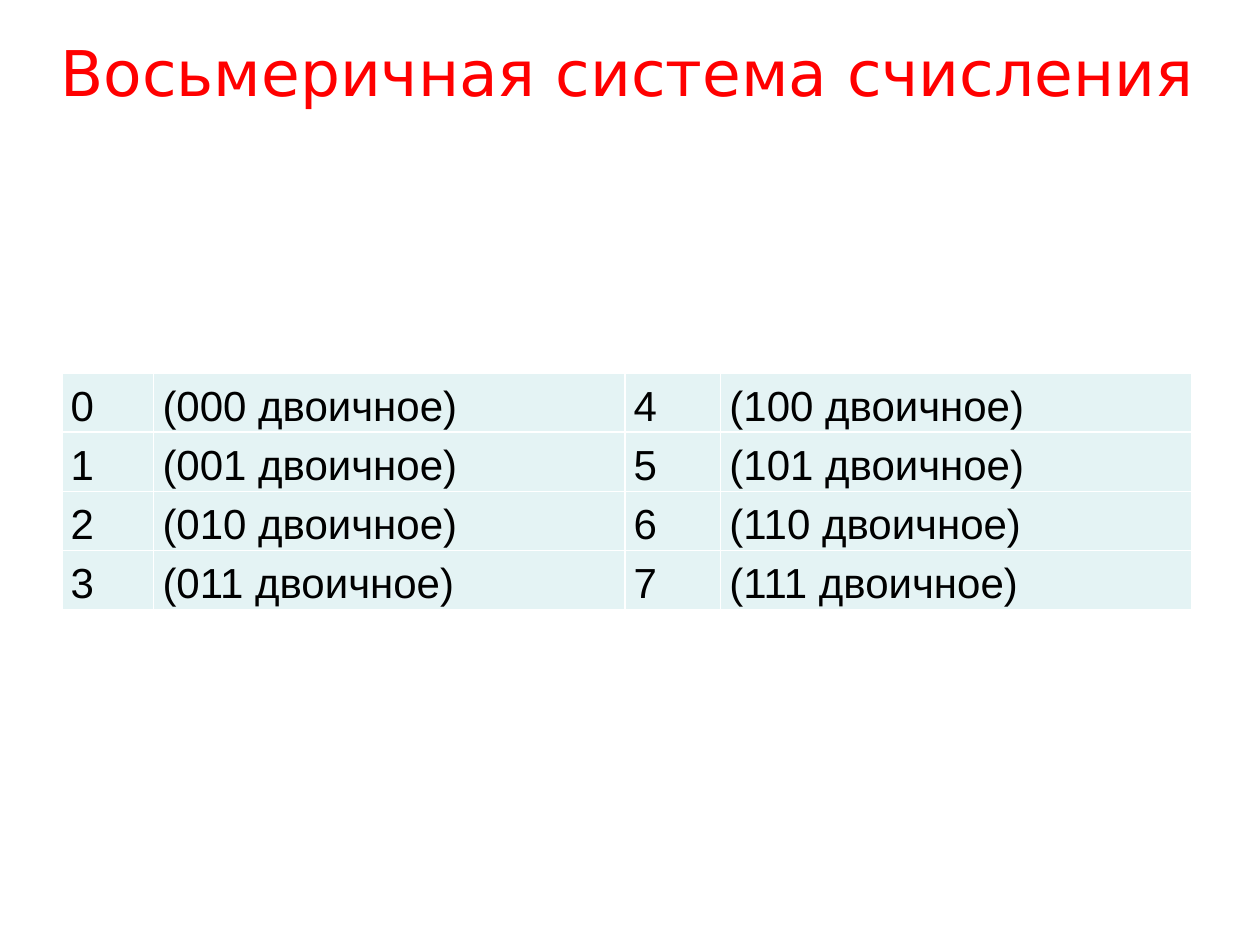
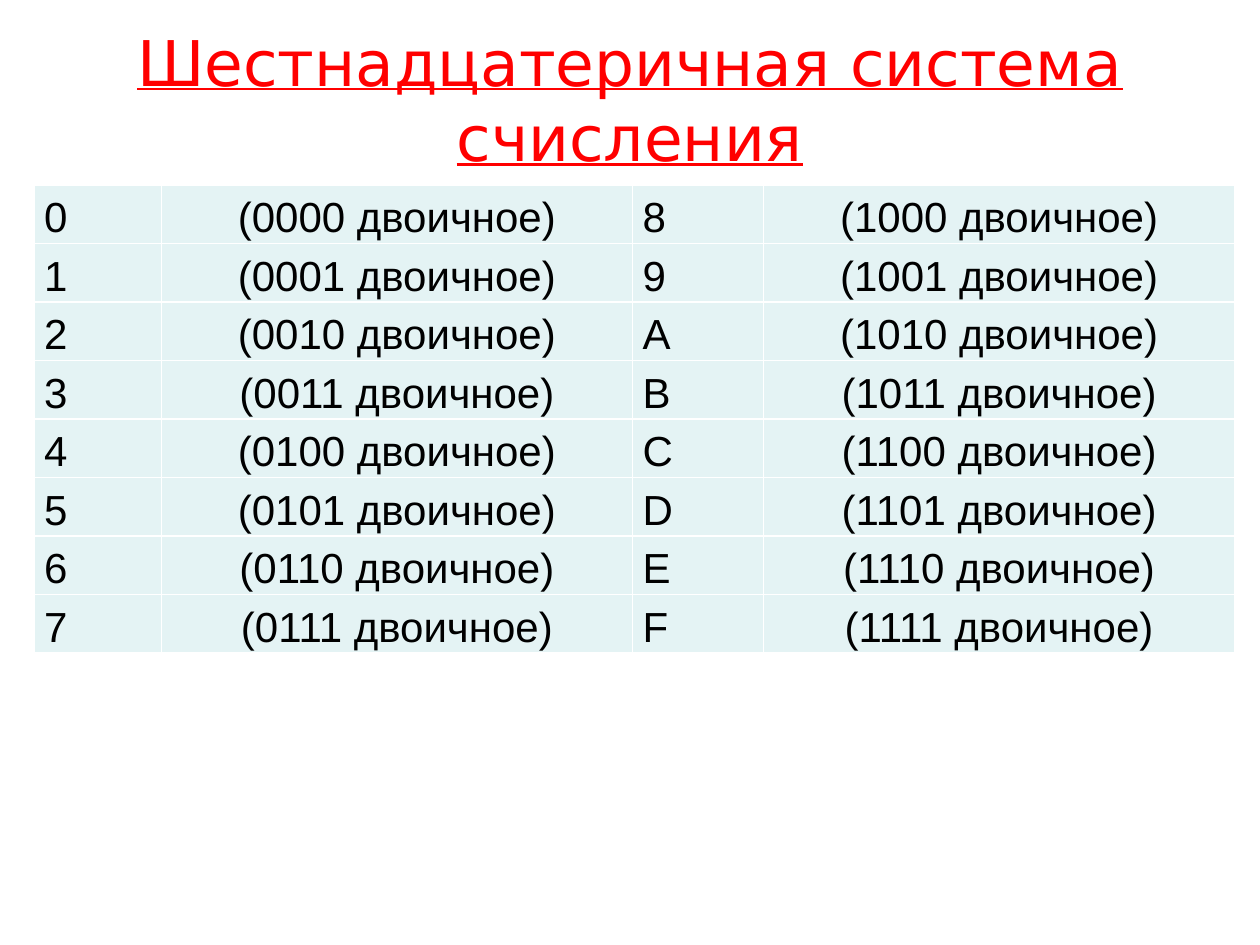
from pptx import Presentation
from pptx.dml.color import RGBColor
from pptx.enum import text
from pptx.oxml import parse_xml
from pptx.oxml.ns import nsdecls
from pptx.util import Inches, Pt

# Content: title, its box, digits, table place and style
SLIDES = [
    dict(title="Восьмеричная система счисления", under=False,
         box=(-0.04, 0.21, 10.04, 0.71),
         digits="01234567", bits=3, at=(0.49, 2.96),
         cols=(0.73, 3.74, 0.76, 3.74), row=0.47,
         inset=0.07, lead=1.17, align=text.PP_ALIGN.JUSTIFY),
    dict(title="Шестнадцатеричная система счисления", under=True,
         box=(0, 0.13, 10, 1.31),
         digits="0123456789ABCDEF", bits=4, at=(0.27, 1.47),
         cols=(1.01, 3.74, 1.04, 3.74), row=0.464,
         inset=0.08, lead=1.16, align=text.PP_ALIGN.CENTER),
]
LABEL = "({} двоичное)"

# Shared style
RED = RGBColor(0xFF, 0x00, 0x00)
BLACK = RGBColor(0x00, 0x00, 0x00)
PALE = RGBColor(0xE4, 0xF3, 0xF4)
WHITE = RGBColor(0xFF, 0xFF, 0xFF)
HEAD, BODY = "DejaVu Sans", "Arial"


def write(par, words, font, size, color, under=None):
    run = par.add_run()
    run.text = words
    run.font.name = font
    run.font.size = Pt(size)
    run.font.color.rgb = color
    run.font.underline = under


def add_title(slide, data):
    box = slide.shapes.add_textbox(*map(Inches, data["box"]))
    frame = box.text_frame
    frame.word_wrap = True
    frame.auto_size = text.MSO_AUTO_SIZE.SHAPE_TO_FIT_TEXT
    frame.vertical_anchor = text.MSO_ANCHOR.MIDDLE
    par = frame.paragraphs[0]
    par.alignment = text.PP_ALIGN.CENTER
    write(par, data["title"], HEAD, 36, RED, data["under"] or None)


def add_edges(cell):
    props = cell._tc.get_or_add_tcPr()
    for spot, side in enumerate("LRTB"):
        props.insert(spot, parse_xml(
            f'<a:ln{side} {nsdecls("a")} w="{Pt(1)}"><a:solidFill>'
            f'<a:srgbClr val="{WHITE}"/></a:solidFill></a:ln{side}>'))


def fill_cell(cell, words, align, data):
    cell.fill.solid()
    cell.fill.fore_color.rgb = PALE
    add_edges(cell)
    cell.vertical_anchor = text.MSO_ANCHOR.MIDDLE
    cell.margin_left = cell.margin_right = Inches(data["inset"])
    cell.margin_top = cell.margin_bottom = 0
    par = cell.text_frame.paragraphs[0]
    par.alignment = align
    par.line_spacing = data["lead"]
    write(par, words, BODY, 24, BLACK)


def add_codes(slide, data):
    digits, cols = data["digits"], data["cols"]
    rows = len(digits) // 2
    left, top = data["at"]
    grid = slide.shapes.add_table(
        rows, len(cols), Inches(left), Inches(top),
        Inches(sum(cols)), Inches(rows * data["row"])).table
    grid.first_row = grid.horz_banding = False
    for col, width in zip(grid.columns, cols):
        col.width = Inches(width)
    for row in grid.rows:
        row.height = Inches(data["row"])

    # Digits run down the left half, then down the right half
    for value, digit in enumerate(digits):
        half, row = divmod(value, rows)
        code = LABEL.format(f"{value:0{data['bits']}b}")
        fill_cell(grid.cell(row, 2 * half), digit,
                  text.PP_ALIGN.JUSTIFY, data)
        fill_cell(grid.cell(row, 2 * half + 1), code, data["align"], data)


def main():
    deck = Presentation()
    deck.slide_width, deck.slide_height = Inches(10), Inches(7.5)
    for data in SLIDES:
        slide = deck.slides.add_slide(deck.slide_layouts[6])
        add_title(slide, data)
        add_codes(slide, data)
    deck.save("out.pptx")


if __name__ == "__main__":
    main()
